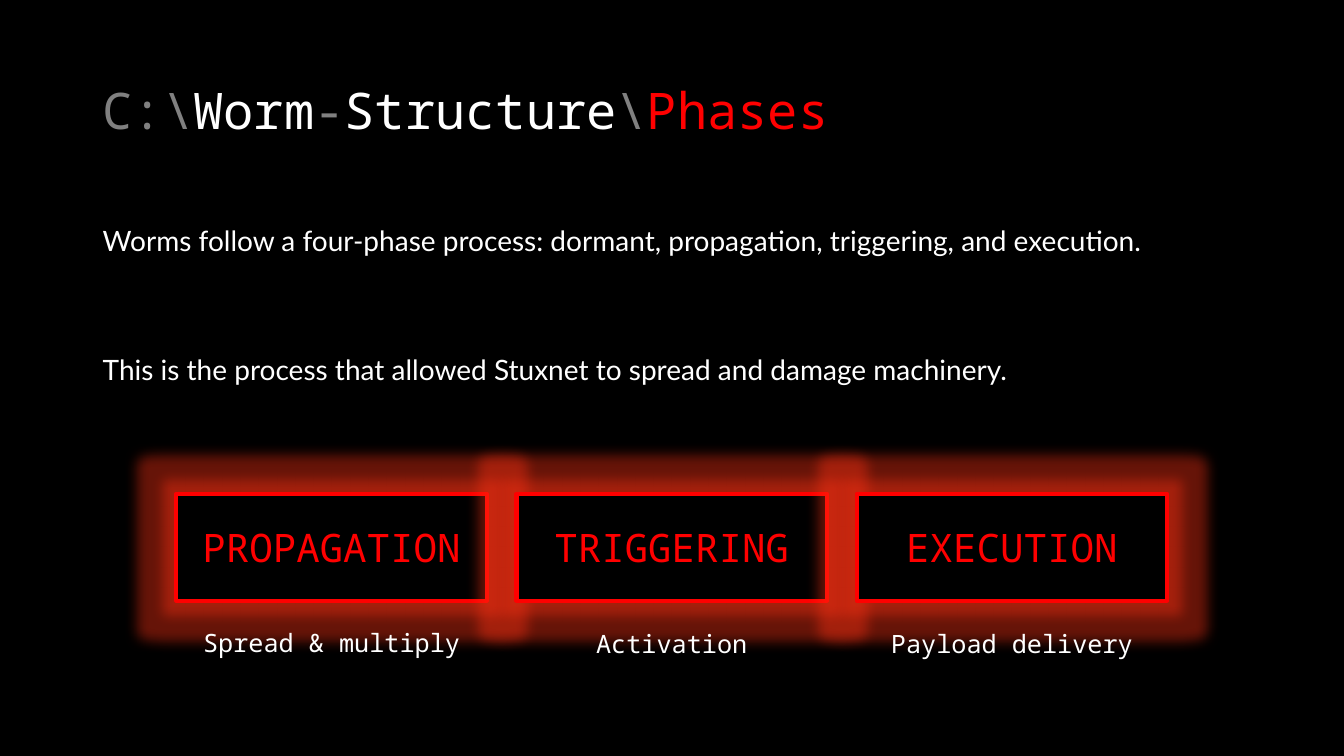
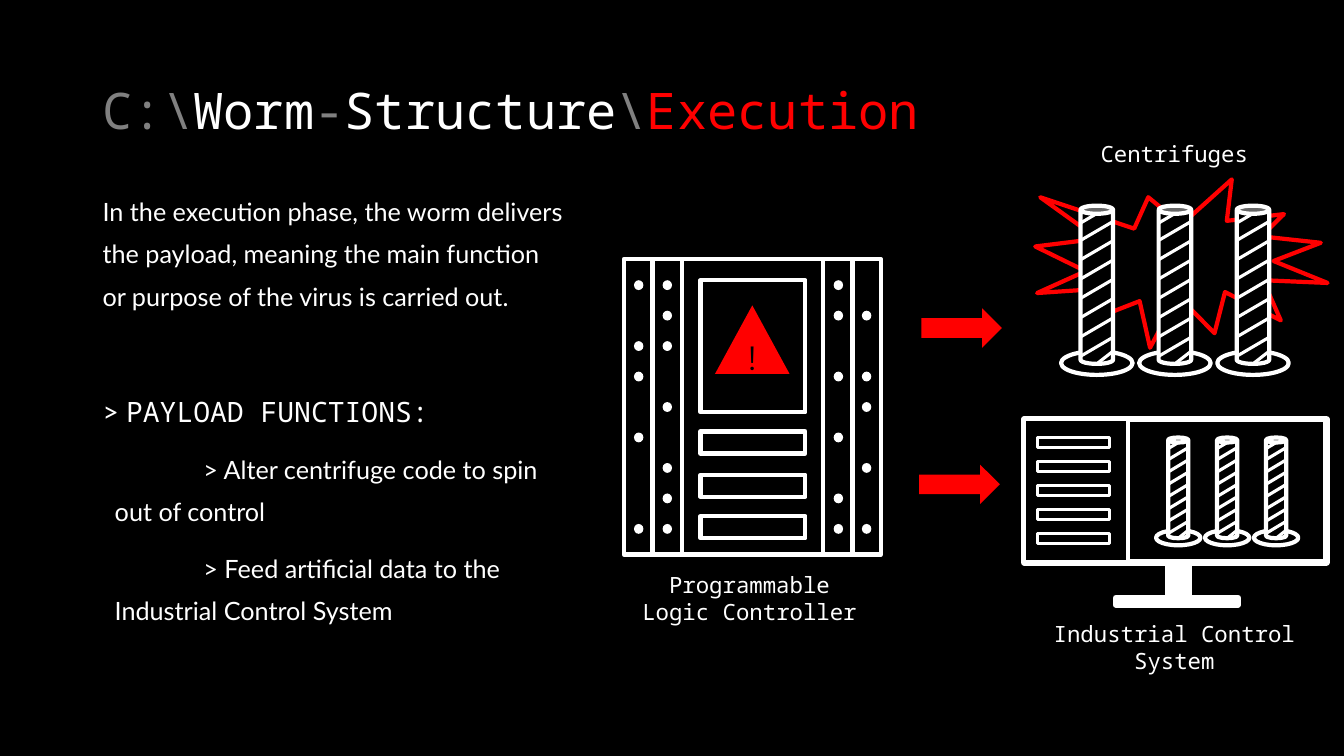
from lxml import etree
from pptx import Presentation
from pptx.dml.color import RGBColor
from pptx.enum.shapes import MSO_CONNECTOR, MSO_SHAPE
from pptx.enum.text import MSO_ANCHOR, PP_ALIGN
from pptx.oxml.ns import qn
from pptx.util import Inches, Pt

RECT, OVAL, CAN = MSO_SHAPE.RECTANGLE, MSO_SHAPE.OVAL, MSO_SHAPE.CAN
BURST, TRIANGLE = MSO_SHAPE.EXPLOSION1, MSO_SHAPE.ISOSCELES_TRIANGLE
ARROW, CABINET = MSO_SHAPE.RIGHT_ARROW, MSO_SHAPE.FLOWCHART_PREDEFINED_PROCESS
STRAIGHT = MSO_CONNECTOR.STRAIGHT
LEFT, CENTER = PP_ALIGN.LEFT, PP_ALIGN.CENTER
TOP, MIDDLE = MSO_ANCHOR.TOP, MSO_ANCHOR.MIDDLE

BLACK, WHITE, GRAY, RED, GLOW = "000000", "FFFFFF", "808080", "FF0000", "FF3214"
MONO, SANS, DISPLAY = "Noto Sans Mono", "Lato", "Montserrat"
rgb = RGBColor.from_string

prs = Presentation()
prs.slide_width, prs.slide_height = Inches(13.333), Inches(7.5)
PX, PY = prs.slide_width / 100, prs.slide_height / 100  # one percent each way
prs.slide_master.background.fill.solid()
prs.slide_master.background.fill.fore_color.rgb = rgb(BLACK)


def draw(s, kind, x, y, w, h, fill=None, line=None, weight=3):
    """Add a shape, or a text box if kind is None; places are percent of the slide."""
    place = int(x * PX), int(y * PY), int(w * PX), int(h * PY)
    if kind is None:
        return s.shapes.add_textbox(*place)
    sp = s.shapes.add_shape(kind, *place)
    sp.shadow.inherit = False
    if fill:
        sp.fill.solid()
        sp.fill.fore_color.rgb = rgb(fill)
    else:
        sp.fill.background()
    if line:
        sp.line.color.rgb = rgb(line)
        sp.line.width = Pt(weight)
    else:
        sp.line.fill.background()
    return sp


def write(sp, paragraphs, size, align=CENTER, anchor=TOP, spacing=1.0):
    """Fill a shape with paragraphs, each a list of (text, colour, font) runs."""
    tf = sp.text_frame
    tf.word_wrap = True
    tf.vertical_anchor = anchor
    for i, runs in enumerate(paragraphs):
        p = tf.paragraphs[0] if i == 0 else tf.add_paragraph()
        p.alignment = align
        p.line_spacing = spacing
        for text, color, font in runs:
            r = p.add_run()
            r.text = text
            r.font.size = Pt(size)
            r.font.name = font
            r.font.color.rgb = rgb(color)
    return tf.paragraphs


# Slides with their path-like titles
slides = []
for topic in ("Phases", "Execution"):
    s = prs.slides.add_slide(prs.slide_layouts[6])
    title = [("C:\\", GRAY), ("Worm", WHITE), ("-", GRAY),
             ("Structure", WHITE), ("\\", GRAY), (topic, RED)]
    write(draw(s, None, 6.9, 5.33, 86.25, 19.33),
          [[(text, color, MONO) for text, color in title]], 36, LEFT, MIDDLE, 0.9)
    slides.append(s)
phases, execution = slides

# Phases: body text
body = write(draw(phases, None, 6.9, 26.67, 86.25, 30), [
    [("Worms follow a four-phase process: dormant, propagation, triggering, "
      "and execution.", WHITE, SANS)],
    [("This is the process that allowed Stuxnet to spread and damage machinery.",
      WHITE, SANS)],
], 20, LEFT, spacing=1.5)
for p, before in zip(body, (10, 56)):
    p.space_before = Pt(before)

# Phases: three glowing boxes with captions
steps = [("PROPAGATION", "Spread & multiply", 82.27),
         ("TRIGGERING", "Activation", 82.4),
         ("EXECUTION", "Payload delivery", 82.4)]
for i, (name, caption, caption_y) in enumerate(steps):
    x = 13.12 + 25.31 * i
    sp = draw(phases, RECT, x, 65.33, 23.1, 14.13, BLACK, RED)
    effects = sp._element.spPr.find(qn("a:effectLst"))
    glow = etree.SubElement(effects, qn("a:glow"), rad=str(Pt(18)))
    color = etree.SubElement(glow, qn("a:srgbClr"), val=GLOW)
    etree.SubElement(color, qn("a:alpha"), val="40000")
    write(sp, [[(name, RED, MONO)]], 28, anchor=MIDDLE)
    write(draw(phases, None, x + 0.64, caption_y, 21.82, 5.33),
          [[(caption, WHITE, MONO)]], 18)

# Execution: body text
s = execution
body = write(draw(s, None, 6.9, 23.73, 36, 67.33), [
    [("In the execution phase, the worm delivers the payload, meaning the main "
      "function or purpose of the virus is carried out.", WHITE, SANS)],
    [("> ", WHITE, SANS), ("PAYLOAD FUNCTIONS:", WHITE, MONO)],
    [("> Alter centrifuge code to spin out of control", WHITE, SANS)],
    [("> Feed artificial data to the Industrial Control System", WHITE, SANS)],
], 18, LEFT, spacing=1.4)
for p, before in zip(body, (10, 50, 10, 10)):
    p.space_before = Pt(before)
for r in body[1].runs:
    r.font.size = Pt(20)
for p in body[2:]:
    pPr = p._p.get_or_add_pPr()
    pPr.set("marL", str(Inches(0.12)))
    pPr.set("indent", str(Inches(0.88)))

# Execution: burst, monitor and its control panel
draw(s, BURST, 77.03, 23.73, 21.75, 22.27, BLACK, RED)
draw(s, RECT, 76.2, 55.47, 22.5, 18.93, BLACK, WHITE, 4.5)
draw(s, RECT, 76.2, 55.47, 7.73, 18.93, BLACK, WHITE)
draw(s, RECT, 83.03, 79.07, 9.08, 0.93, WHITE, WHITE, 4.5)
draw(s, RECT, 86.93, 74.93, 1.5, 4.13, WHITE, WHITE, 4.5)
for row in range(5):
    draw(s, RECT, 77.18, 57.87 + 3.17 * row, 5.4, 1.33, BLACK, WHITE, 2.25)

# Execution: centrifuges, large ones in the burst and small ones on the monitor
# Stripes run from (x, y) to (x, y) in shares of the cylinder
stripes = [(0, 0.11, 0.5, 0.05), (0.5, 1, 1, 0.92)]
stripes += [(0, 0.22 + 0.122 * k, 1, 0.1 + 0.122 * k) for k in range(7)]
for left, pitch, y, w, h in ((80.4, 5.81, 27.2, 2.42, 20.93),
                             (86.92, 3.64, 57.87, 1.5, 13.33)):
    for i in reversed(range(3)):
        x = left + pitch * i
        draw(s, OVAL, x - 0.6 * w, y + 0.92 * h, 2.2 * w, 0.15 * h, None, WHITE)
        draw(s, CAN, x, y, w, h, BLACK, WHITE)
        for x1, y1, x2, y2 in stripes:
            line = s.shapes.add_connector(
                STRAIGHT, int((x + x1 * w) * PX), int((y + y1 * h) * PY),
                int((x + x2 * w) * PX), int((y + y2 * h) * PY))
            line.line.color.rgb = rgb(WHITE)
            line.line.width = Pt(2.25)
            etree.SubElement(line._element.spPr, qn("a:effectLst"))

# Execution: logic controller with rivets, panels and a warning sign
draw(s, CABINET, 46.42, 34.27, 16.95, 39.07, BLACK, WHITE)
draw(s, CABINET, 48.6, 34.27, 16.95, 39.07, None, WHITE)
rivets = {47.17: (0, 2, 3, 5, 8), 49.3: (0, 1, 2, 4, 6, 7, 8),
          62.03: (0, 1, 3, 5, 7, 8), 64.13: (1, 3, 4, 6, 8)}
for x, rows in rivets.items():
    for row in rows:
        draw(s, OVAL, x, 37.07 + 4.03 * row, 0.7, 1.3, WHITE)
for y, h in ((37.07, 17.47), (57.07, 2.93), (62.8, 2.93), (68.27, 2.93)):
    draw(s, RECT, 52.13, y, 7.8, h, BLACK, WHITE)
write(draw(s, TRIANGLE, 53.2, 40.4, 5.55, 9.07, RED),
      [[("!", BLACK, DISPLAY)]], 24, anchor=MIDDLE)

# Execution: arrows and labels
for x, y in ((68.55, 40.8), (68.4, 61.47)):
    draw(s, ARROW, x, y, 6, 5.2, RED)
labels = [(44.03, 74.93, 23.48, 8.53, ("Programmable", "Logic Controller")),
          (78.75, 17.87, 17.25, 4.93, ("Centrifuges",)),
          (75.38, 81.33, 24, 8.53, ("Industrial Control System",))]
for x, y, w, h, lines in labels:
    write(draw(s, None, x, y, w, h), [[(text, WHITE, MONO)] for text in lines], 16)

prs.save("out.pptx")
